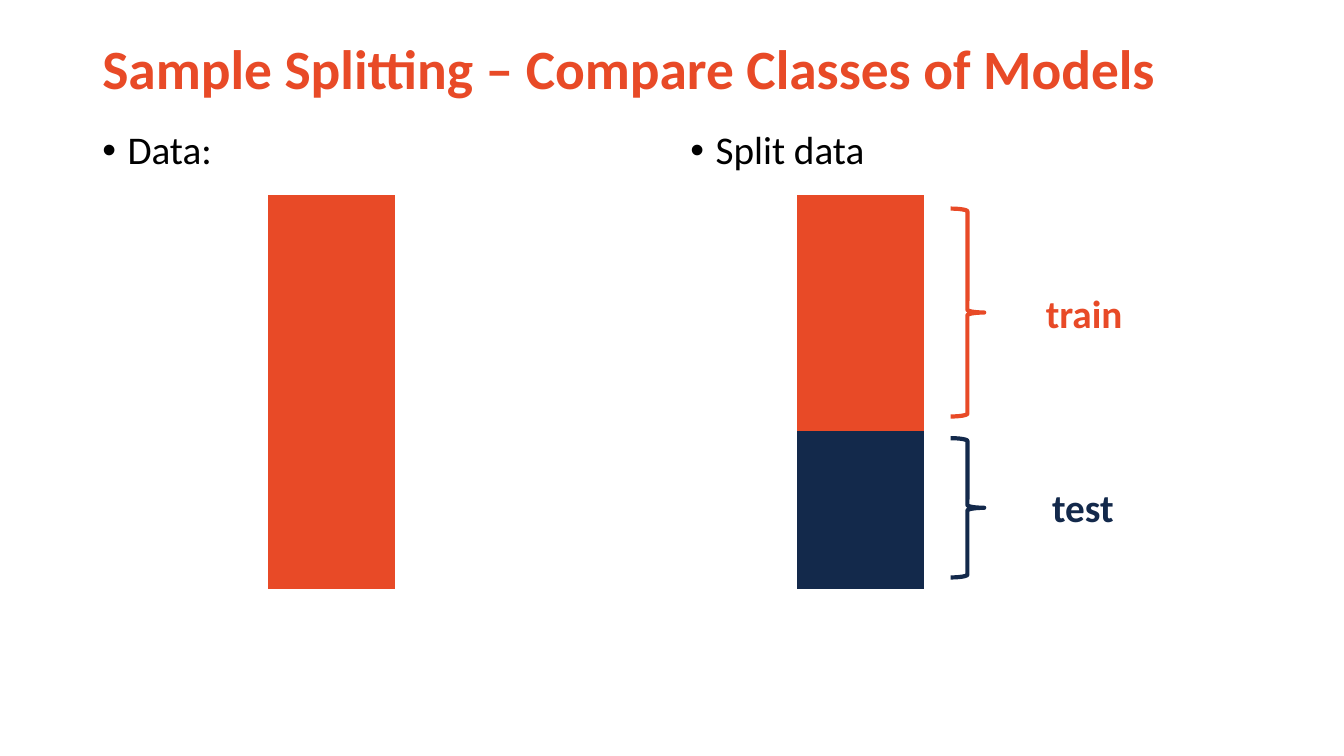
from lxml.etree import SubElement
from pptx import Presentation
from pptx.dml.color import RGBColor
from pptx.enum.shapes import MSO_SHAPE
from pptx.enum.text import MSO_ANCHOR
from pptx.oxml.ns import qn
from pptx.util import Pt

ORANGE = RGBColor(0xE8, 0x4A, 0x27)
NAVY = RGBColor(0x13, 0x29, 0x4B)
BLACK = RGBColor(0, 0, 0)
FONT = "Calibri"
NO_GRID_STYLE = "{2D5ABB26-0587-4C30-8999-92F81FD0307C}"

TITLE = "Sample Splitting – Compare Classes of Models"
COLUMNS = [
    ("Data:", 66, 191.5, [ORANGE] * 5),
    ("Split data", 486, 569.5, [ORANGE] * 3 + [NAVY] * 2),
]
PARTS = [
    ("train", ORANGE, 149, 148.5, 740, 203, 133),
    ("test", NAVY, 313, 99.5, 744.5, 342, 66),
]
BAR_TOP, BAR_WIDTH, ROW_HEIGHT = 139, 90.5, 56.3
BRACE_LEFT, BRACE_WIDTH = 679, 24


def add_text(slide, text, left, top, width, height, size, color, bold=False):
    frame = slide.shapes.add_textbox(Pt(left), Pt(top), Pt(width), Pt(height)).text_frame
    frame.word_wrap = True
    paragraph = frame.paragraphs[0]
    paragraph.text = text
    font = paragraph.font
    font.name, font.size, font.bold = FONT, Pt(size), bold
    font.color.rgb = color
    return frame


def add_bullet(paragraph):
    paragraph.line_spacing = 0.9
    properties = paragraph._p.get_or_add_pPr()
    properties.set("marL", str(Pt(18)))
    properties.set("indent", str(Pt(-18)))
    bullet_font = SubElement(properties, qn("a:buFont"), typeface="Arial")
    bullet = SubElement(properties, qn("a:buChar"), char="•")
    bullet_font.addnext(bullet)
    default_font = properties.find(qn("a:defRPr"))
    if default_font is not None:
        properties.append(default_font)


def add_bar(slide, left, colors):
    bar = slide.shapes.add_table(
        len(colors), 1, Pt(left), Pt(BAR_TOP), Pt(BAR_WIDTH), Pt(ROW_HEIGHT * len(colors))
    ).table
    bar.first_row = bar.horz_banding = False
    bar._tbl.tblPr.find(qn("a:tableStyleId")).text = NO_GRID_STYLE
    for row, color in enumerate(colors):
        bar.rows[row].height = Pt(ROW_HEIGHT)
        fill = bar.cell(row, 0).fill
        fill.solid()
        fill.fore_color.rgb = color


def add_brace(slide, top, height, color):
    brace = slide.shapes.add_shape(
        MSO_SHAPE.RIGHT_BRACE, Pt(BRACE_LEFT), Pt(top), Pt(BRACE_WIDTH), Pt(height)
    )
    brace.shadow.inherit = False
    brace.fill.background()
    brace.line.color.rgb = color
    brace.line.width = Pt(3)


def main():
    presentation = Presentation()
    presentation.slide_width, presentation.slide_height = Pt(960), Pt(540)
    slide = presentation.slides.add_slide(presentation.slide_layouts[6])

    title = add_text(slide, TITLE, 66, 27.5, 828, 47.5, 39.6, ORANGE, True)
    title.vertical_anchor = MSO_ANCHOR.MIDDLE
    title.paragraphs[0].line_spacing = 0.9

    for heading, heading_left, bar_left, colors in COLUMNS:
        body = add_text(slide, heading, heading_left, 90, 408, 361, 28, BLACK)
        add_bullet(body.paragraphs[0])
        add_bar(slide, bar_left, colors)

    for label, color, brace_top, brace_height, left, top, width in PARTS:
        add_brace(slide, brace_top, brace_height, color)
        add_text(slide, label, left, top, width, 41, 28, color, True)

    presentation.save("out.pptx")


if __name__ == "__main__":
    main()
